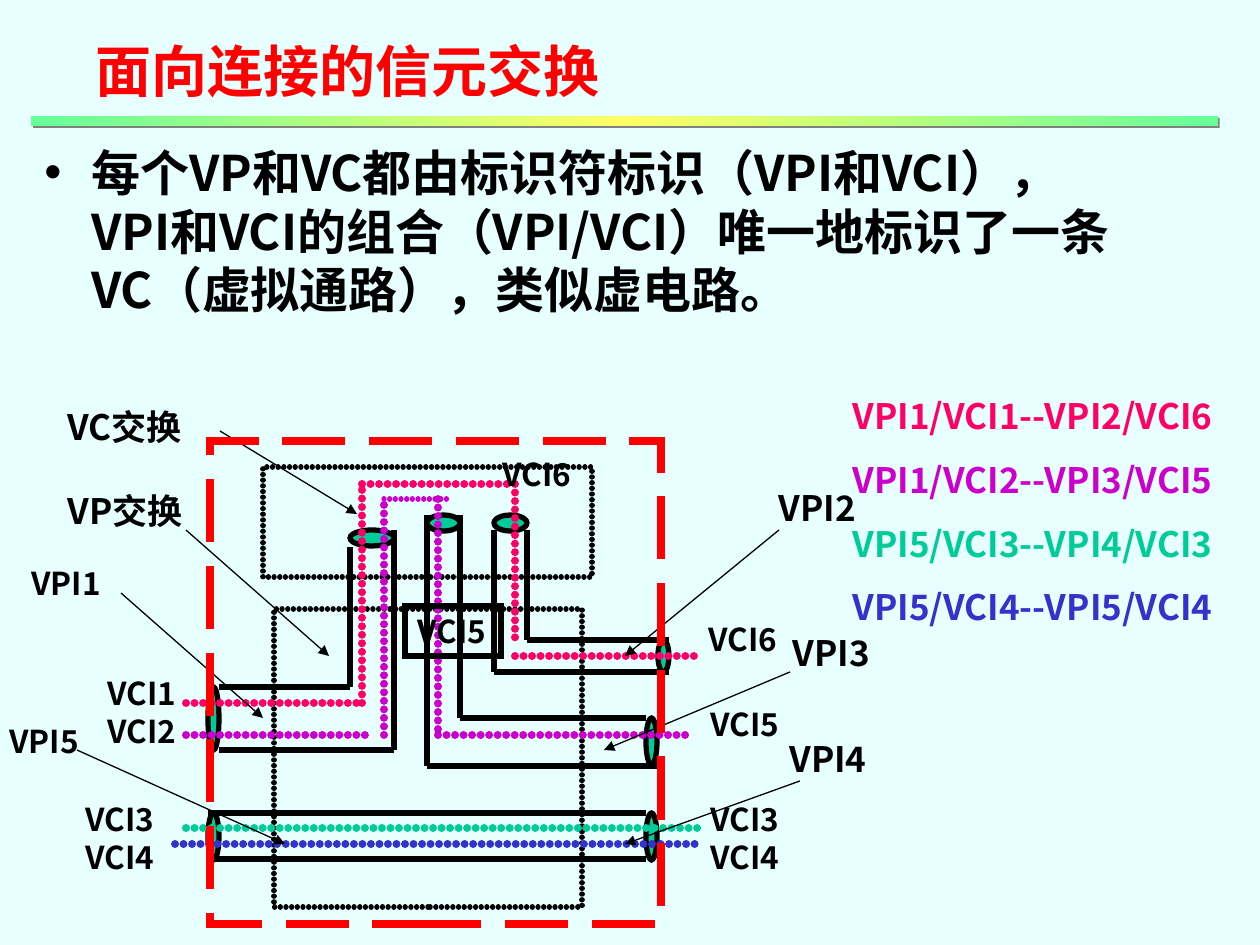
import pptx
import pptx.util
import pptx.dml.color
import pptx.enum.dml
import pptx.enum.shapes
import pptx.enum.text
from lxml import etree
from itertools import pairwise

PX = 914400 / 126
FONT = "Noto Sans CJK SC"
NS = "http://schemas.openxmlformats.org/drawingml/2006/main"
COLORS = {
    "background": "E7FFFF", "black": "000000", "red": "FF0000",
    "pink": "FF0066", "purple": "CC00CC", "green": "00CC99", "blue": "3333CC",
    "bar_edge": "66FF99", "bar_middle": "FFFF66", "bar_shadow": "808080",
}

TITLE = "面向连接的信元交换"
BODY = ("每个VP和VC都由标识符标识（VPI和VCI），VPI和VCI的组合（VPI/VCI）"
        "唯一地标识了一条VC（虚拟通路），类似虚电路。")
MAPPINGS = [
    ("VPI1/VCI1--VPI2/VCI6", "pink"),
    ("VPI1/VCI2--VPI3/VCI5", "purple"),
    ("VPI5/VCI3--VPI4/VCI3", "green"),
    ("VPI5/VCI4--VPI5/VCI4", "blue"),
]
PIPE_WALLS = [
    [(219, 687), (350, 687), (350, 547)],
    [(219, 750), (394, 750), (394, 530)],
    [(494, 530), (494, 672), (669, 672)],
    [(527, 530), (527, 640), (669, 640)],
    [(427, 515), (427, 766), (658, 766)],
    [(460, 515), (460, 718), (646, 718)],
    [(208, 813), (646, 813)],
    [(208, 859), (646, 859)],
]
PIPE_ENDS = [
    (208, 687, 11, 63), (350, 530, 44, 16), (494, 515, 33, 16), (658, 640, 11, 32),
    (646, 718, 11, 47), (427, 515, 33, 16), (208, 813, 11, 47), (646, 813, 11, 47),
]
SWITCHES = [(274, 609, 308, 298), (263, 467, 329, 110)]
FRAME = (210, 441, 451, 483)
CHANNELS = [
    ("pink", 4.5, [(186, 703), (362, 703), (362, 484), (515, 484), (515, 640)]),
    ("pink", 4.5, [(515, 656), (702, 656)]),
    ("purple", 4.5, [(186, 735), (373, 735)]),
    ("purple", 4.5, [(384, 735), (384, 499)]),
    ("purple", 3, [(384, 499), (450, 499)]),
    ("purple", 4.5, [(438, 499), (438, 735), (690, 735)]),
    ("green", 4.5, [(186, 828), (702, 828)]),
    ("blue", 4.5, [(175, 844), (702, 844)]),
]
POINTERS = [
    [(121, 593), (263, 718)], [(779, 530), (625, 656)], [(790, 672), (604, 750)],
    [(800, 781), (625, 844)], [(77, 750), (285, 844)], [(220, 431), (357, 514)],
    [(186, 530), (329, 656)],
]
LABELS = [
    (["VPI1"], 18, (19, 558, 96, 50)),
    (["VPI2"], 20, (766, 480, 103, 55)),
    (["VPI3"], 20, (780, 625, 108, 55)),
    (["VPI4"], 20, (777, 731, 103, 55)),
    (["VPI5"], 18, (-3, 716, 96, 50)),
    (["VC交换", "VP交换"], 20, (55, 399, 149, 139)),
    (["VCI1", "VCI2"], 18, (95, 668, 96, 88)),
    (["VCI3", "VCI4"], 18, (73, 794, 96, 88)),
    (["VCI6"], 18, (696, 614, 96, 50)),
    (["VCI5"], 18, (698, 699, 96, 50)),
    (["VCI6"], 18, (490, 449, 96, 50)),
    (["VCI5"], 18, (405, 606, 96, 50)),
    (["VCI3", "VCI4"], 18, (698, 794, 96, 88)),
]
BOXED_LABEL = (405, 606, 96, 50)
SWITCH_LABEL_GAP = 24

Shape = pptx.enum.shapes.MSO_SHAPE
deck = pptx.Presentation()
deck.slide_width, deck.slide_height = round(1260 * PX), round(945 * PX)
slide = deck.slides.add_slide(deck.slide_layouts[6])


def rgb(name):
    return pptx.dml.color.RGBColor.from_string(COLORS[name])


def emu(lengths):
    return [round(length * PX) for length in lengths]


def sub(parent, tag, **attributes):
    return etree.SubElement(parent, f"{{{NS}}}{tag}", attributes)


def style_line(line, color, width, dotted=False):
    line.color.rgb = rgb(color)
    line.width = pptx.util.Pt(width)
    ln = line._get_or_add_ln()
    if dotted:
        ln.set("cap", "rnd")
        sub(sub(ln, "custDash"), "ds", d="100000", sp="8000")
    sub(ln, "miter", lim="800000")


def add_path(points, color, width, dotted=False, arrow=False):
    for start, end in pairwise(points):
        segment = slide.shapes.add_connector(
            pptx.enum.shapes.MSO_CONNECTOR.STRAIGHT, *emu(start), *emu(end))
        style_line(segment.line, color, width, dotted)
        if arrow:
            sub(segment.line._get_or_add_ln(), "tailEnd", type="triangle")
        sub(segment._element.spPr, "effectLst")


def add_outline(kind, box, color="black", width=3, fill=None, dotted=False):
    outline = slide.shapes.add_shape(kind, *emu(box))
    outline.shadow.inherit = False
    if fill:
        outline.fill.solid()
        outline.fill.fore_color.rgb = rgb(fill)
    else:
        outline.fill.background()
    style_line(outline.line, color, width, dotted)
    return outline


def add_text(lines, size, box, wrap=False, before=0, gap=0):
    frame = slide.shapes.add_textbox(*emu(box)).text_frame
    frame.word_wrap = wrap
    frame.text = "\n".join(text for text, color in lines)
    for index, (paragraph, (text, color)) in enumerate(zip(frame.paragraphs, lines)):
        paragraph.space_before = pptx.util.Pt(before + (gap if index else 0))
        font = paragraph.runs[0].font
        font.size, font.bold, font.name = pptx.util.Pt(size), True, FONT
        font.color.rgb = rgb(color)
        sub(font._element, "ea", typeface=FONT)
    return frame


slide.background.fill.solid()
slide.background.fill.fore_color.rgb = rgb("background")

body = add_text([(BODY, "black")], 28, (32, 136, 1096, 221), wrap=True, before=7)
bullet = body.paragraphs[0]._p.get_or_add_pPr()
bullet.set("marL", str(round(47 * PX)))
bullet.set("indent", str(round(-47 * PX)))
bullet.set("hangingPunct", "0")
sub(bullet, "buFont", typeface="Arial")
sub(bullet, "buChar", char="•")

for wall in PIPE_WALLS:
    add_path(wall, "black", 3)
for pipe_end in PIPE_ENDS:
    add_outline(Shape.OVAL, pipe_end, fill="green")
for switch in SWITCHES:
    add_outline(Shape.RECTANGLE, switch, dotted=True)
for color, width, points in CHANNELS:
    add_path(points, color, width, dotted=True)
for pointer in POINTERS:
    add_path(pointer, "black", 0.75, arrow=True)
add_outline(Shape.RECTANGLE, BOXED_LABEL)
for texts, size, box in LABELS:
    gap = SWITCH_LABEL_GAP if len(texts) > 1 and size == 20 else 0
    add_text([(text, "black") for text in texts], size, box, gap=gap)
add_text(MAPPINGS, 20, (840, 388, 420, 247), wrap=True, before=12.5)

bar = slide.shapes.add_shape(Shape.RECTANGLE, *emu((31, 116, 1187, 10)))
bar.line.fill.background()
bar.fill.gradient()
bar.fill.gradient_angle = 0
stops = bar.fill._fill._gradFill.gsLst
for stop in list(stops):
    stops.remove(stop)
for position, color in ((0, "bar_edge"), (50000, "bar_middle"), (100000, "bar_edge")):
    sub(sub(stops, "gs", pos=str(position)), "srgbClr", val=COLORS[color])
shadow = sub(sub(bar._element.spPr, "effectLst"), "outerShdw",
             dist="17780", dir="2700000", algn="ctr", rotWithShape="0")
sub(shadow, "srgbClr", val=COLORS["bar_shadow"])

add_text([(TITLE, "red")], 32, (83, 30, 560, 81), wrap=True, before=8)
frame = add_outline(Shape.RECTANGLE, FRAME, "red", 4.5)
frame.line.dash_style = pptx.enum.dml.MSO_LINE.LONG_DASH

deck.save("out.pptx")
